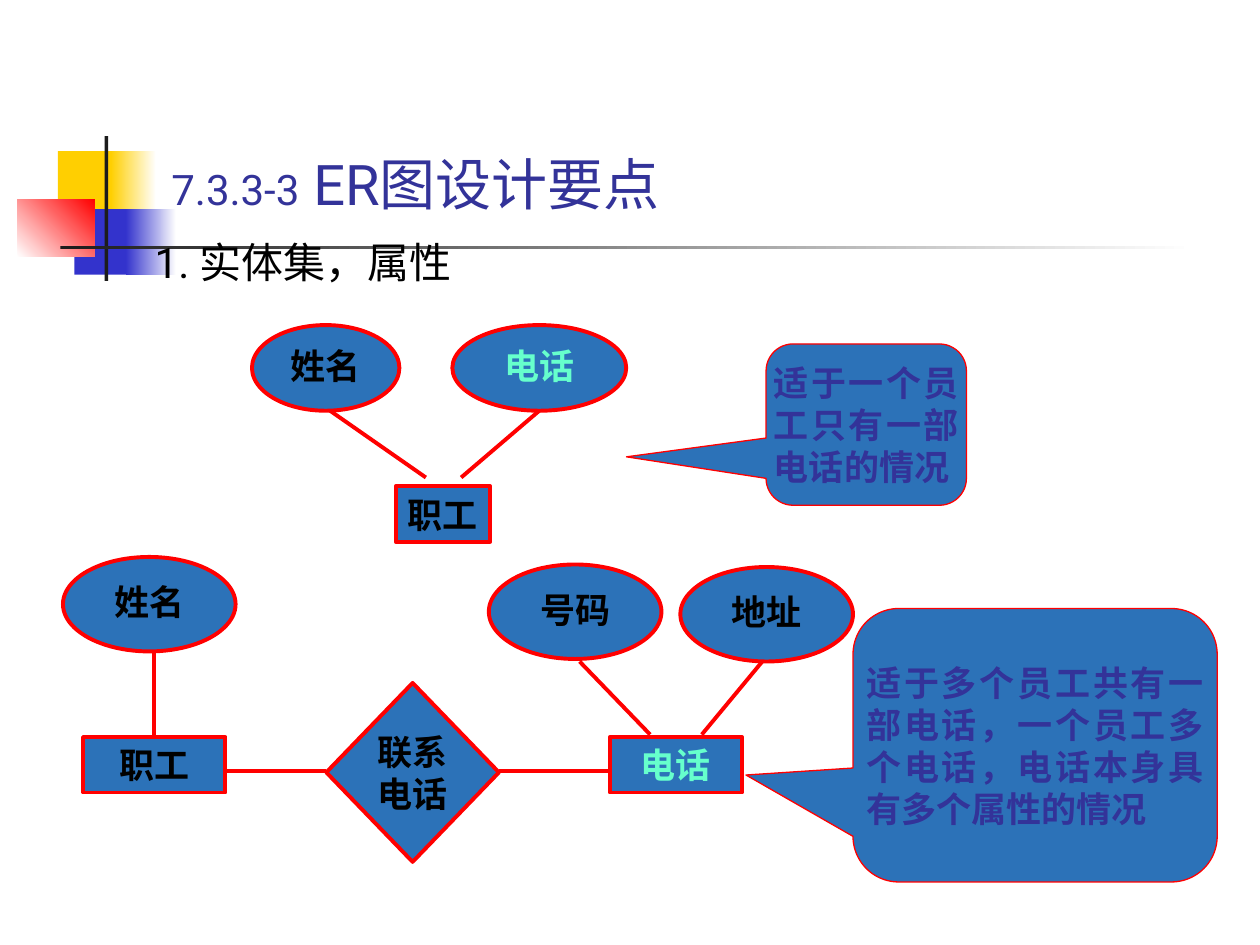
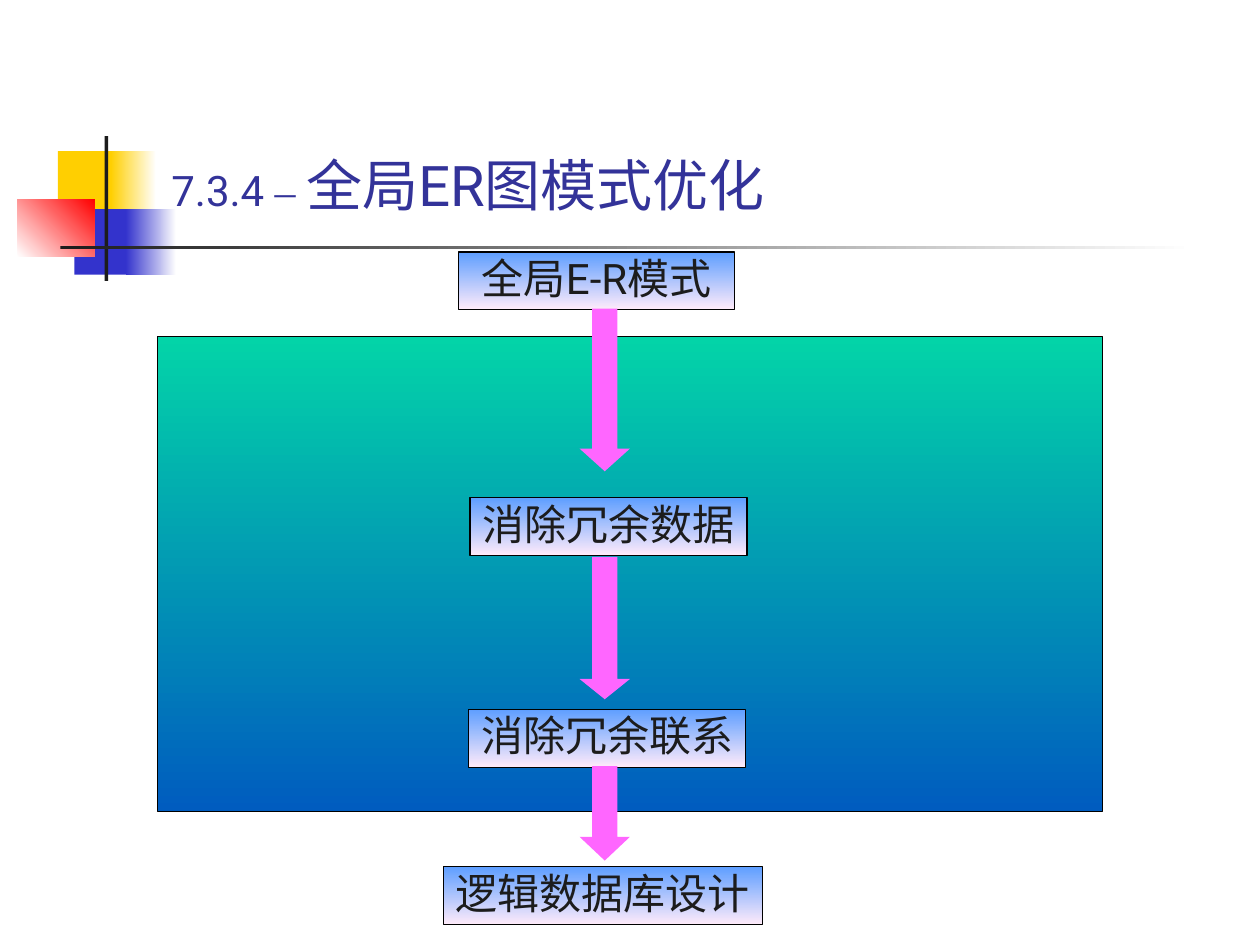
"""Build two slides on ER diagram design with one small style class."""
from dataclasses import dataclass

from lxml.etree import SubElement as Sub
from pptx import Presentation
from pptx.dml.color import RGBColor as Rgb
from pptx.enum.shapes import MSO_CONNECTOR as Link, MSO_SHAPE as Kind
from pptx.enum.text import MSO_ANCHOR as Anchor, PP_ALIGN as Align
from pptx.oxml.ns import qn
from pptx.util import Inches, Pt


@dataclass(frozen=True)
class Theme:
    gold: str = "FFCF01"
    blue: str = "3333CC"
    red: str = "FF0000"
    white: str = "FFFFFF"
    ink: str = "1C1C1C"
    black: str = "000000"
    navy: str = "333399"
    node: str = "2C72B8"
    mint: str = "66FFCC"
    pink: str = "FF66FF"
    panel: tuple = ("03D4A8", "005CBF")
    step: tuple = ("5E9EFF", "FFEBFA")
    sans: str = "Roboto"
    serif: str = "Times New Roman"
    head: int = 32
    text: int = 24
    label: int = 20
    thick: float = 2.25
    thin: float = 0.75


class Deck:
    def __init__(self, theme):
        self.theme = theme
        self.show = Presentation()
        self.show.slide_width, self.show.slide_height = Inches(10), Inches(7.5)
        self.slide = None

    def font(self, font, size, color, name, bold=False):
        font.size, font.name, font.bold = Pt(size), name, bold
        font.color.rgb = Rgb.from_string(color)

    def start(self, top, runs):
        self.slide = self.show.slides.add_slide(self.show.slide_layouts[5])
        self.band()
        title = self.slide.shapes.title
        title.left, title.top = Inches(1.26), Inches(top)
        title.width, title.height = Inches(8.52), Inches(0.95)
        frame = title.text_frame
        frame.vertical_anchor = Anchor.BOTTOM
        para = frame.paragraphs[0]
        para.alignment = Align.LEFT
        for text, size, name in runs:
            run = para.add_run()
            run.text = text
            self.font(run.font, size, self.theme.navy, name)

    def band(self):
        t = self.theme
        for box, fill, angle in (
            ((0.46, 1.2, 0.48, 0.52), t.gold, 0),
            ((0.88, 1.2, 0.36, 0.52), (t.gold, t.white), 0),
            ((0.59, 1.66, 0.46, 0.52), t.blue, 0),
            ((1, 1.66, 0.4, 0.52), (t.blue, t.white), 0),
            ((0.14, 1.58, 0.61, 0.46), (t.white, t.red), 45),
            ((0.83, 1.08, 0.03, 1.15), t.ink, 0),
            ((0.48, 1.95, 9, 0.03), (t.ink, t.white), 0),
        ):
            self.shape(Kind.RECTANGLE, box, fill, angle=angle)

    def shape(self, kind, box, fill, line=None, width=0, angle=270):
        shape = self.slide.shapes.add_shape(kind, *map(Inches, box))
        shape.shadow.inherit = False
        if isinstance(fill, tuple):
            shape.fill.gradient()
            shape.fill.gradient_angle = angle
            for stop, color in zip(shape.fill.gradient_stops, fill):
                stop.color.rgb = Rgb.from_string(color)
        else:
            shape.fill.solid()
            shape.fill.fore_color.rgb = Rgb.from_string(fill)
        if line:
            shape.line.color.rgb = Rgb.from_string(line)
            shape.line.width = Pt(width)
        else:
            shape.line.fill.background()
        return shape

    def label(self, shape, text, size, color, name, bold=False,
              align=Align.CENTER, wrap=False, space=None):
        frame = shape.text_frame
        frame.text = text
        frame.word_wrap = wrap
        frame.vertical_anchor = Anchor.MIDDLE
        for para in frame.paragraphs:
            para.alignment = align
            para.line_spacing = space
            self.font(para.font, size, color, name, bold)
        return frame

    def node(self, kind, box, text, color=None, space=None):
        t = self.theme
        shape = self.shape(kind, box, t.node, t.red, t.thick)
        self.label(shape, text, t.label, color or t.black, t.serif, True,
                   space=space)

    def callout(self, box, tip, text):
        t = self.theme
        shape = self.shape(Kind.ROUNDED_RECTANGULAR_CALLOUT, box, t.node,
                           t.red, t.thin)
        for i, value in enumerate((*tip, 0.167)):
            shape.adjustments[i] = value
        frame = self.label(shape, text, t.label, t.navy, t.serif, True,
                           Align.JUSTIFY, True)
        frame.margin_left = frame.margin_right = 0
        frame.margin_top = frame.margin_bottom = 0

    def line(self, *ends):
        line = self.slide.shapes.add_connector(Link.STRAIGHT,
                                               *map(Inches, ends))
        line.line.color.rgb = Rgb.from_string(self.theme.red)
        line.line.width = Pt(self.theme.thick)
        Sub(line._element.spPr, qn("a:effectLst"))

    def bullet(self, box, text):
        t = self.theme
        frame = self.slide.shapes.add_textbox(*map(Inches, box)).text_frame
        frame.word_wrap = True
        para = frame.paragraphs[0]
        para.text = text
        props = para._p.get_or_add_pPr()
        props.set("marL", str(Inches(0.38)))
        props.set("indent", str(Inches(-0.38)))
        Sub(Sub(props, qn("a:buClr")), qn("a:srgbClr"), val=t.blue)
        Sub(props, qn("a:buSzPct"), val="60000")
        Sub(props, qn("a:buChar"), char="■")
        self.font(para.font, t.text, t.black, t.sans)

    def step(self, box, text):
        t = self.theme
        shape = self.shape(Kind.RECTANGLE, box, t.step, t.black, t.thin)
        self.label(shape, text, t.text, t.ink, t.sans, space=0.9)

    def arrow(self, top, height, tip):
        shape = self.shape(Kind.DOWN_ARROW, (4.6, top, 0.4, height),
                           self.theme.pink)
        shape.adjustments[0], shape.adjustments[1] = 0.5, tip


def design(deck):
    t = deck.theme
    deck.start(0.82, [("7.3.3-3", t.text, t.sans),
                      (" ER图设计要点", t.head, t.sans)])
    deck.bullet((0.75, 1.83, 8.5, 0.67), "1. 实体集，属性")
    for box, text, color in (
        ((2, 2.58, 1.17, 0.68), "姓名", t.black),
        ((3.59, 2.58, 1.38, 0.68), "电话", t.mint),
        ((0.5, 4.42, 1.37, 0.75), "姓名", t.black),
        ((3.88, 4.48, 1.37, 0.75), "号码", t.black),
        ((5.4, 4.5, 1.37, 0.75), "地址", t.black),
    ):
        deck.node(Kind.OVAL, box, text, color, 0.9)
    for box, text, color in (
        ((3.14, 3.86, 0.75, 0.44), "职工", t.black),
        ((0.66, 5.85, 1.13, 0.44), "职工", t.black),
        ((4.84, 5.85, 1.05, 0.44), "电话", t.mint),
    ):
        deck.node(Kind.RECTANGLE, box, text, color)
    deck.node(Kind.DIAMOND, (2.59, 5.42, 1.37, 1.42), "联系\n电话")
    for ends in (
        (4.28, 3.26, 3.66, 3.79),
        (3.38, 3.79, 2.62, 3.26),
        (1.79, 6.12, 2.59, 6.12),
        (3.96, 6.12, 4.84, 6.12),
        (1.22, 5.83, 1.22, 5.17),
        (5.16, 5.83, 4.6, 5.25),
        (5.57, 5.83, 6.05, 5.25),
    ):
        deck.line(*ends)
    deck.callout((6.08, 2.73, 1.59, 1.28), (-1.197, 0.2),
                 "适于一个员工只有一部电话的情况")
    deck.callout((6.77, 4.83, 2.89, 2.17), (-0.794, 0.109),
                 "适于多个员工共有一部电话，一个员工多个电话，电话本身具有多个属性的情况")


def tune(deck):
    t = deck.theme
    deck.start(0.83, [("7.3.4 ", t.text, t.sans), ("– ", t.text, t.serif),
                      ("全局ER图模式优化", t.head, t.sans)])
    deck.shape(Kind.RECTANGLE, (1.25, 2.67, 7.5, 3.77), t.panel,
               t.black, t.thin)
    for left, top, width, text in (
        (3.64, 2, 2.19, "全局E-R模式"),
        (3.73, 3.95, 2.2, "消除冗余数据"),
        (3.72, 5.63, 2.2, "消除冗余联系"),
        (3.52, 6.88, 2.53, "逻辑数据库设计"),
    ):
        deck.step((left, top, width, 0.46), text)
    for top, height, tip in ((2.45, 1.29, 0.449), (4.42, 1.13, 0.402),
                             (6.08, 0.75, 0.471)):
        deck.arrow(top, height, tip)


def main():
    deck = Deck(Theme())
    design(deck)
    tune(deck)
    deck.show.save("out.pptx")


if __name__ == "__main__":
    main()
